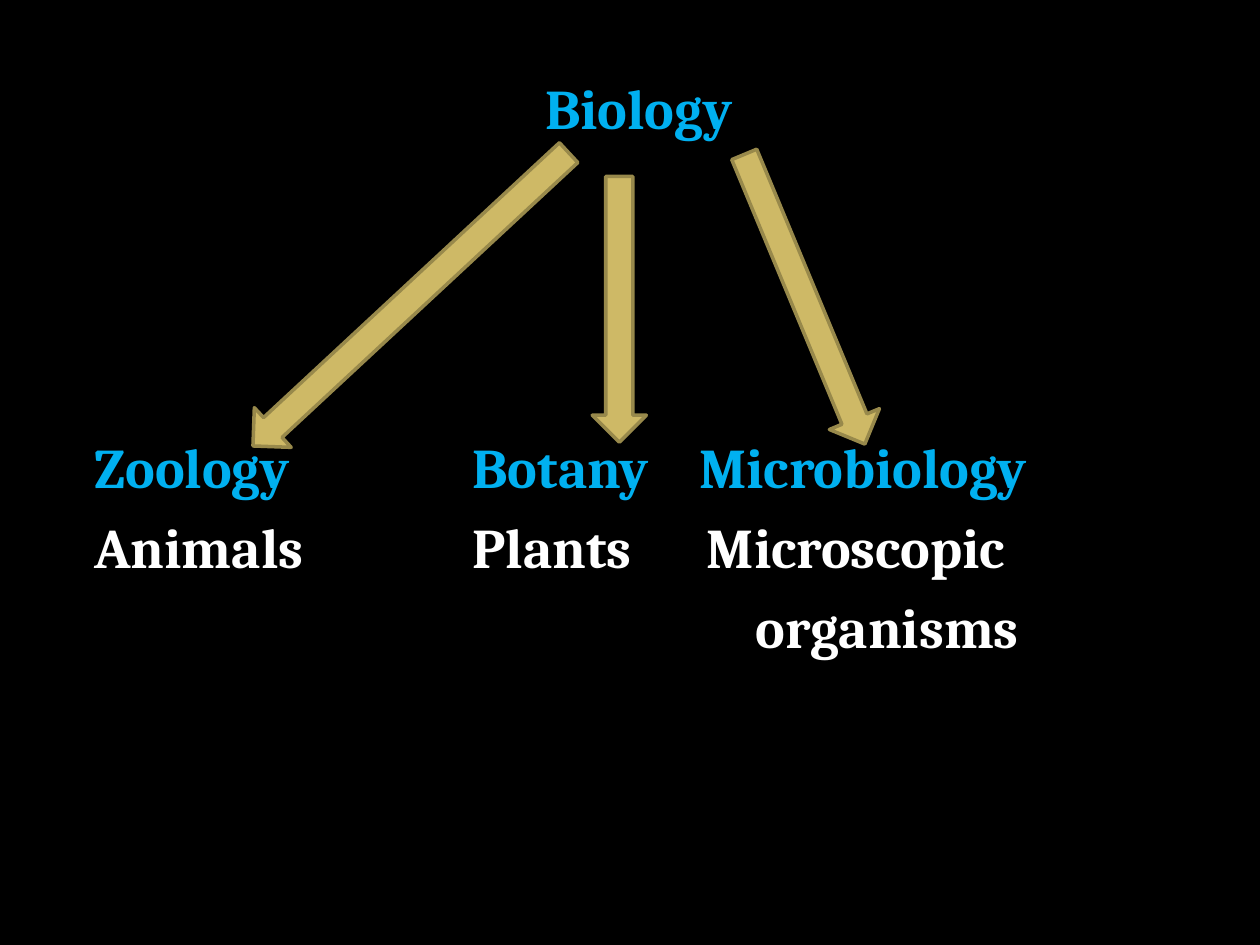
from dataclasses import dataclass

from pptx import Presentation
from pptx.dml.color import RGBColor
from pptx.enum.shapes import MSO_SHAPE
from pptx.enum.text import MSO_ANCHOR, MSO_AUTO_SIZE, PP_ALIGN
from pptx.util import Inches, Pt

RIGHT_ARROW = MSO_SHAPE.RIGHT_ARROW
TOP = MSO_ANCHOR.TOP
NO_AUTOFIT = MSO_AUTO_SIZE.NONE
LEFT, CENTER = PP_ALIGN.LEFT, PP_ALIGN.CENTER


@dataclass(frozen=True)
class Theme:
    background: RGBColor = RGBColor(0x00, 0x00, 0x00)
    heading: RGBColor = RGBColor(0x00, 0xB0, 0xF0)
    body: RGBColor = RGBColor(0xFF, 0xFF, 0xFF)
    arrow_fill: RGBColor = RGBColor(0xCE, 0xB9, 0x66)
    arrow_line: RGBColor = RGBColor(0x98, 0x89, 0x4B)
    arrow_line_width: float = 2
    font: str = "Cambria"
    size: float = 32
    space_before: float = 7.5


@dataclass(frozen=True)
class Line:
    text: str
    indent: float = 0


@dataclass(frozen=True)
class Branch:
    name: str
    left: float
    width: float
    subjects: tuple[Line, ...]


@dataclass(frozen=True)
class Arrow:
    left: float
    top: float
    length: float
    rotation: float


THEME = Theme()
BRANCH_TOP = 3.43
LINE_HEIGHT = 0.63
ARROW_THICKNESS = 0.43

BRANCHES = (
    Branch("Zoology", 0.75, 2.8, (Line("Animals"),)),
    Branch("Botany", 3.75, 1.7, (Line("Plants"),)),
    Branch("Microbiology", 5.55, 3.5,
           (Line("Microscopic", 0.06), Line("organisms", 0.45))),
)
ARROWS = (
    Arrow(1.55, 2.16, 3.42, 137.1),
    Arrow(3.86, 2.24, 2.11, 90),
    Arrow(5.14, 2.16, 2.49, 67.4),
)


def prepare_frame(frame) -> None:
    frame.word_wrap = True
    frame.auto_size = NO_AUTOFIT
    frame.vertical_anchor = TOP
    frame.margin_left = frame.margin_right = 0
    frame.margin_top = frame.margin_bottom = 0


def write_paragraph(paragraph, text: str, *, color: RGBColor,
                    alignment=LEFT, indent: float = 0,
                    space_before: float = 0) -> None:
    paragraph.alignment = alignment
    paragraph.space_before = Pt(space_before)
    if indent:
        paragraph._p.get_or_add_pPr().set("marL", str(Inches(indent)))
    run = paragraph.add_run()
    run.text = text
    run.font.name = THEME.font
    run.font.size = Pt(THEME.size)
    run.font.bold = True
    run.font.color.rgb = color


def write_title(slide, text: str) -> None:
    title = slide.shapes.title
    title.left, title.top = Inches(0.57), Inches(0.58)
    title.width, title.height = Inches(9), Inches(LINE_HEIGHT)
    prepare_frame(title.text_frame)
    write_paragraph(title.text_frame.paragraphs[0], text,
                    color=THEME.heading, alignment=CENTER)


def draw_branch(slide, branch: Branch) -> None:
    height = LINE_HEIGHT * (1 + len(branch.subjects))
    box = slide.shapes.add_textbox(Inches(branch.left), Inches(BRANCH_TOP),
                                   Inches(branch.width), Inches(height))
    frame = box.text_frame
    prepare_frame(frame)
    write_paragraph(frame.paragraphs[0], branch.name, color=THEME.heading)
    for line in branch.subjects:
        write_paragraph(frame.add_paragraph(), line.text, color=THEME.body,
                        indent=line.indent, space_before=THEME.space_before)


def draw_arrow(slide, arrow: Arrow) -> None:
    shape = slide.shapes.add_shape(RIGHT_ARROW, Inches(arrow.left), Inches(arrow.top),
                                   Inches(arrow.length), Inches(ARROW_THICKNESS))
    shape.rotation = arrow.rotation
    shape.shadow.inherit = False
    shape.fill.solid()
    shape.fill.fore_color.rgb = THEME.arrow_fill
    shape.line.color.rgb = THEME.arrow_line
    shape.line.width = Pt(THEME.arrow_line_width)


def main() -> None:
    presentation = Presentation()
    presentation.slide_width = Inches(10)
    presentation.slide_height = Inches(7.5)
    slide = presentation.slides.add_slide(presentation.slide_layouts[5])
    slide.background.fill.solid()
    slide.background.fill.fore_color.rgb = THEME.background
    write_title(slide, "Biology")
    for branch in BRANCHES:
        draw_branch(slide, branch)
    for arrow in ARROWS:
        draw_arrow(slide, arrow)
    presentation.save("out.pptx")


if __name__ == "__main__":
    main()
